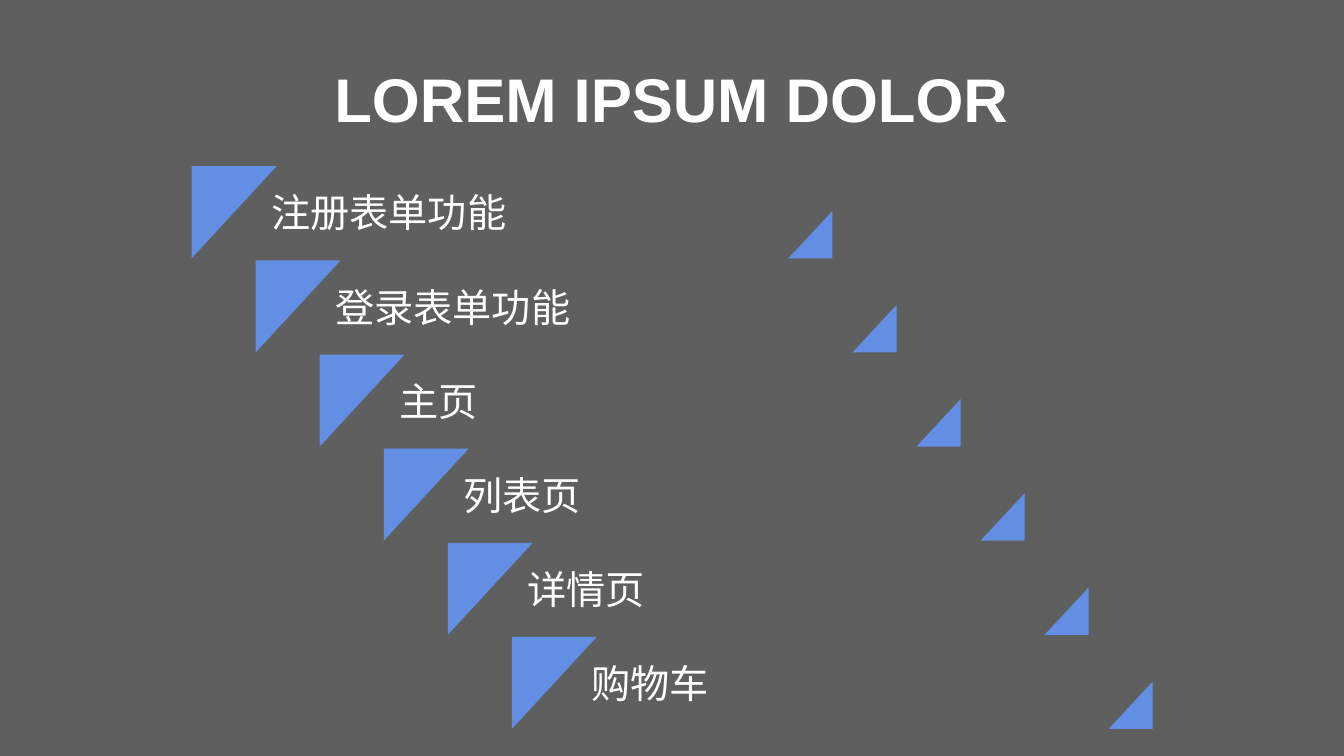
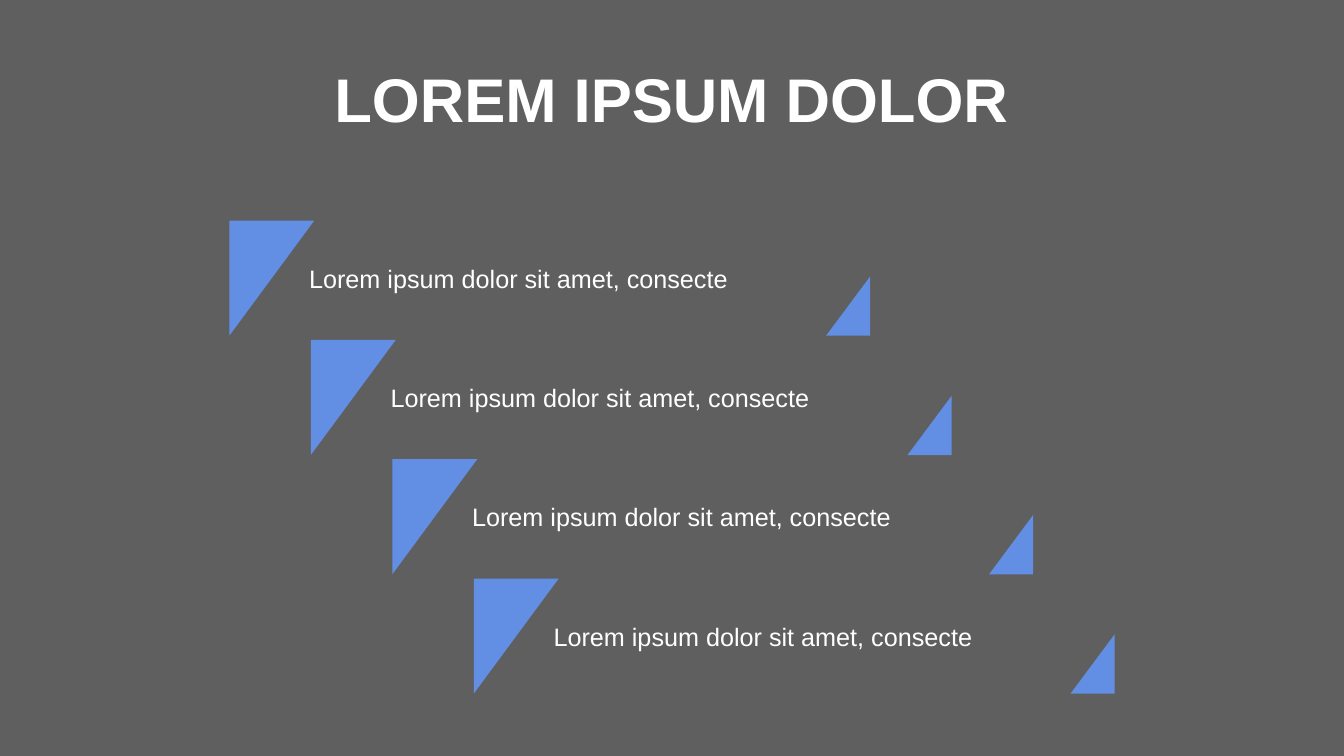
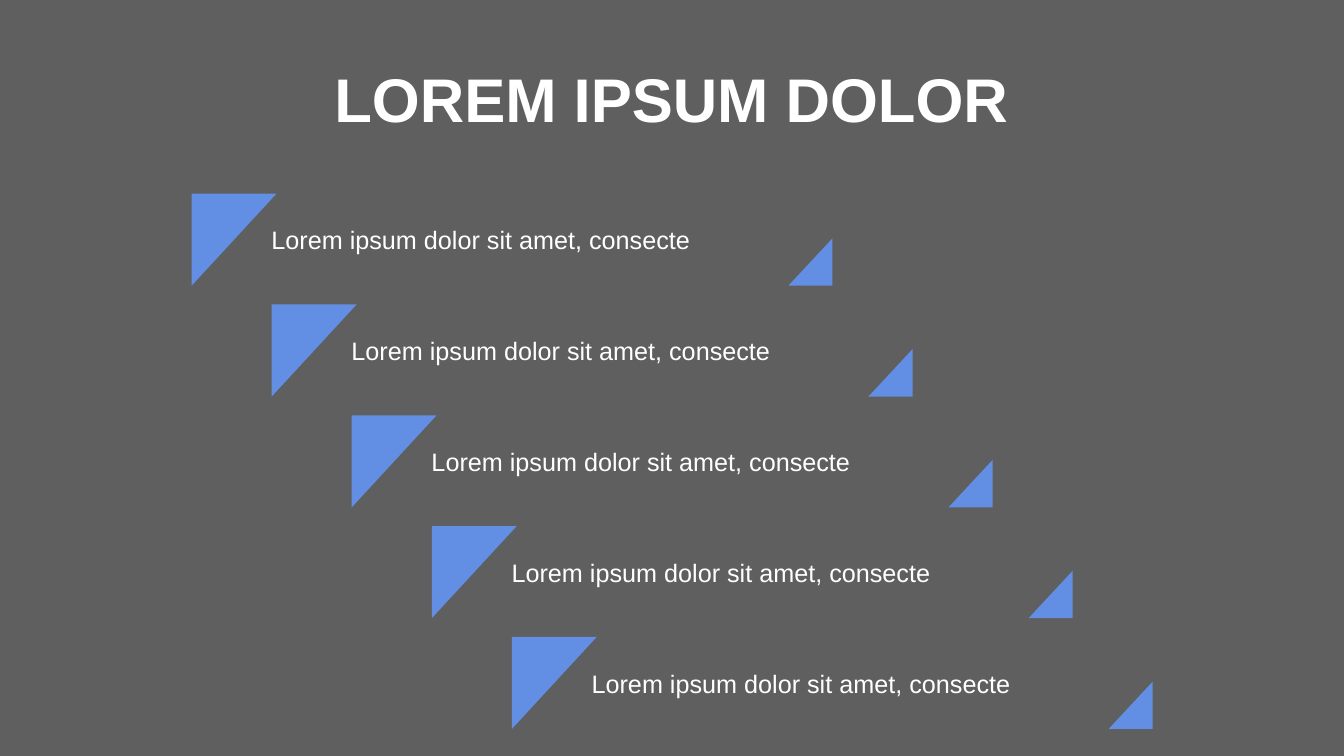
from dataclasses import dataclass

from pptx import Presentation
from pptx.dml.color import RGBColor
from pptx.enum.text import MSO_ANCHOR, MSO_AUTO_SIZE, PP_ALIGN
from pptx.util import Cm, Pt


@dataclass(frozen=True)
class Theme:
    background: RGBColor = RGBColor(0x5F, 0x5F, 0x5F)
    accent: RGBColor = RGBColor(0x62, 0x8E, 0xE3)
    text: RGBColor = RGBColor(0xFF, 0xFF, 0xFF)
    font: str = "Arial"
    title_size: int = 44
    heading_size: int = 28
    body_size: int = 18


THEME = Theme()
TITLE_BOX = (6.25, 0.94, 21.36, 3.28)
ITEM_WIDTH = 16.15
LARGE_WIDTH = 2.14
SMALL_WIDTH = 1.11
SMALL_RATIO = 0.515
ITEM_INSETS = (2.01, 0.13, 0.51, 0.13)
TITLE = "LOREM IPSUM DOLOR"
SENTENCE = "Lorem ipsum dolor sit amet, consecte"


def write(tf, text, size, bold=False, align=PP_ALIGN.LEFT, spacing=1.0,
          insets=(0.25, 0.13, 0.25, 0.13)):
    tf.word_wrap = True
    tf.auto_size = MSO_AUTO_SIZE.NONE
    tf.vertical_anchor = MSO_ANCHOR.MIDDLE
    tf.margin_left, tf.margin_top, tf.margin_right, tf.margin_bottom = map(Cm, insets)
    p = tf.paragraphs[0]
    p.alignment = align
    p.line_spacing = spacing
    r = p.add_run()
    r.text = text
    r.font.name = THEME.font
    r.font.size = Pt(size)
    r.font.bold = bold
    r.font.color.rgb = THEME.text


def add_title(s, text, box):
    sp = s.shapes.title
    sp.left, sp.top, sp.width, sp.height = map(Cm, box)
    write(sp.text_frame, text, THEME.title_size, bold=True,
          align=PP_ALIGN.CENTER, spacing=0.9)


def add_item(s, text, size, box):
    x, y, w, h = map(Cm, box)
    right, bottom = x + w, y + h
    builder = s.shapes.build_freeform(right, bottom - int(h * SMALL_RATIO))
    builder.add_line_segments([(right, bottom), (right - Cm(SMALL_WIDTH), bottom)])
    builder.move_to(x, y)
    builder.add_line_segments([(x + Cm(LARGE_WIDTH), y), (x, bottom)])
    sp = builder.convert_to_shape()
    sp.shadow.inherit = False
    sp.fill.solid()
    sp.fill.fore_color.rgb = THEME.accent
    sp.line.fill.background()
    write(sp.text_frame, text, size, insets=ITEM_INSETS)


def add_staircase(s, items, size, box, item_height):
    x, y, w, h = box
    steps = len(items) - 1
    dx = (w - ITEM_WIDTH) / steps
    dy = (h - item_height) / steps
    for i, text in enumerate(items):
        add_item(s, text, size, (x + i * dx, y + i * dy, ITEM_WIDTH, item_height))


def add_agenda(prs, items, size, box, item_height):
    s = prs.slides.add_slide(prs.slide_layouts[5])
    add_title(s, TITLE, TITLE_BOX)
    add_staircase(s, items, size, box, item_height)


prs = Presentation()
prs.slide_width, prs.slide_height = Cm(33.87), Cm(19.05)
fill = prs.slide_master.background.fill
fill.solid()
fill.fore_color.rgb = THEME.background

pages = ["注册表单功能", "登录表单功能", "主页", "列表页", "详情页", "购物车"]
add_agenda(prs, pages, THEME.heading_size, (4.83, 4.19, 24.22, 14.18), 2.32)
add_agenda(prs, [SENTENCE] * 4, THEME.body_size, (5.78, 5.56, 22.31, 11.92), 2.9)
add_agenda(prs, [SENTENCE] * 5, THEME.body_size, (4.83, 4.88, 24.22, 13.49), 2.32)

prs.save("out.pptx")
